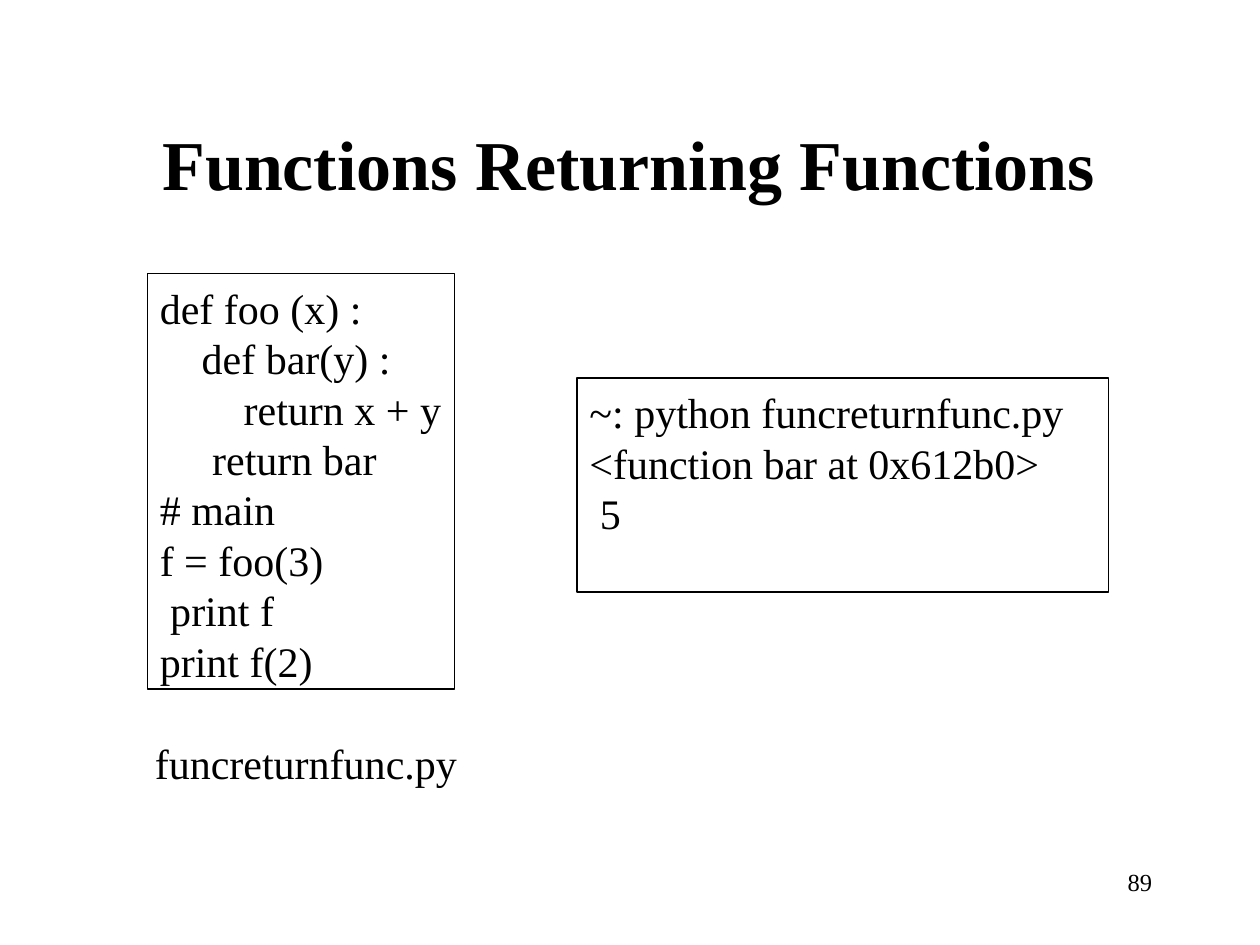
from pptx import Presentation
from pptx.dml.color import RGBColor
from pptx.enum.shapes import MSO_SHAPE
from pptx.enum.text import MSO_ANCHOR, PP_ALIGN
from pptx.util import Inches, Pt

COLORS = {"ink": "000000", "paper": "FFFFFF"}
FONT = "Times New Roman"

PROGRAM = [
    "def foo (x) :",
    "    def bar(y) :",
    "        return x + y",
    "     return bar",
    "# main",
    "f = foo(3)",
    " print f",
    "print f(2)",
]
SESSION = [
    "~: python funcreturnfunc.py",
    "<function bar at 0x612b0>",
    " 5",
]


def color(name):
    return RGBColor.from_string(COLORS[name])


def write_lines(shape, lines, size, bold=False, pitch=None, left=0, top=0):
    """Fill a shape with one left-aligned paragraph per line."""
    frame = shape.text_frame
    frame.word_wrap = True
    frame.vertical_anchor = MSO_ANCHOR.TOP
    frame.margin_left, frame.margin_top = Inches(left), Inches(top)
    frame.margin_right = frame.margin_bottom = 0
    frame.text = "\n".join(lines)
    for para in frame.paragraphs:
        para.alignment = PP_ALIGN.LEFT
        if pitch:
            para.line_spacing = Pt(pitch)
        for span in para.runs:
            span.font.name = FONT
            span.font.size = Pt(size)
            span.font.bold = bold
            span.font.color.rgb = color("ink")


def add_label(page, box, text, size, **style):
    label = page.shapes.add_textbox(*map(Inches, box))
    write_lines(label, [text], size, **style)


def add_code_box(page, box, lines):
    frame = page.shapes.add_shape(MSO_SHAPE.RECTANGLE, *map(Inches, box))
    frame.shadow.inherit = False
    frame.fill.background()
    frame.line.color.rgb = color("ink")
    frame.line.width = Pt(0.75)
    write_lines(frame, lines, 24, pitch=28.8, left=0.1, top=0.07)


def main():
    deck = Presentation()
    deck.slide_width, deck.slide_height = Inches(10), Inches(7.5)
    page = deck.slides.add_slide(deck.slide_layouts[6])
    page.background.fill.solid()
    page.background.fill.fore_color.rgb = color("paper")

    # Title
    add_label(page, (1.28, 0.94, 7.5, 0.69), "Functions Returning Functions", 40,
              bold=True, left=0.01, top=0.02)

    # Program listing with its file name, and the output it prints
    add_code_box(page, (1.17, 2.17, 2.44, 3.3), PROGRAM)
    add_code_box(page, (4.58, 3, 4.22, 1.7), SESSION)
    add_label(page, (1.22, 5.83, 2.5, 0.43), "funcreturnfunc.py", 24,
              left=0.01, top=0.02)

    # Page number
    add_label(page, (8.91, 6.89, 0.28, 0.24), "89", 14, pitch=16.3, left=0.04)

    deck.save("out.pptx")


if __name__ == "__main__":
    main()
